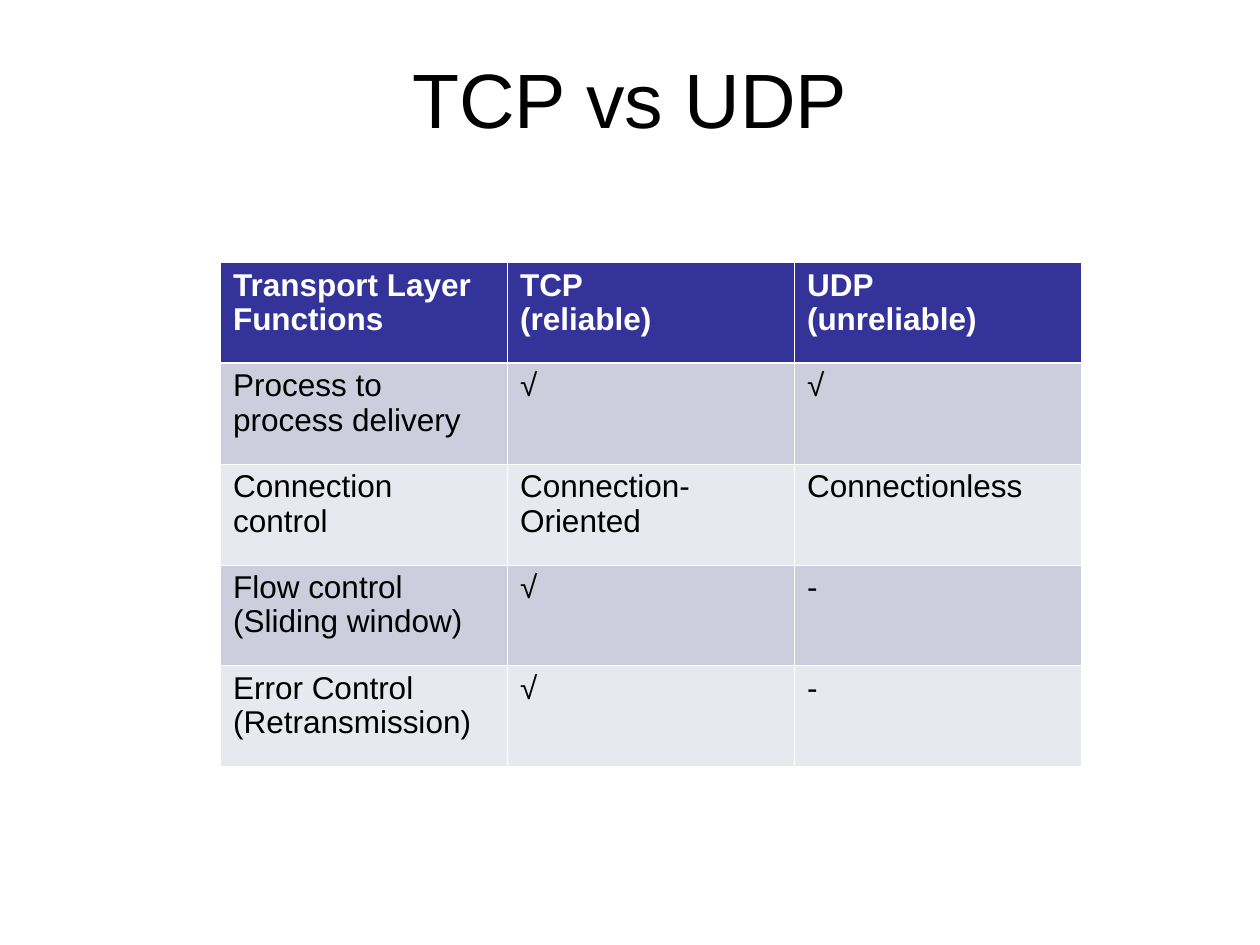
from lxml.etree import SubElement as Sub
from pptx import Presentation
from pptx.dml.color import RGBColor
from pptx.enum.text import MSO_ANCHOR as Anchor, PP_ALIGN as Align
from pptx.oxml.ns import qn
from pptx.util import Pt

ROWS = [
    ["Transport Layer Functions", "TCP\n(reliable)", "UDP\n(unreliable)"],
    ["Process to process delivery", "√", "√"],
    ["Connection control", "Connection- Oriented", "Connectionless"],
    ["Flow control\n(Sliding window)", "√", "-"],
    ["Error Control\n(Retransmission)", "√", "-"],
]
HEAD, BANDS = "333399", ("CDCDDE", "E8E8EF")
THIN, THICK = 0.45, 1.47


def color(code):
    return RGBColor.from_string(code)


def write(frame, text, size=18, ink="000000", bold=False, align=Align.LEFT, pitch=None):
    frame.word_wrap = True
    frame.text = text
    for para in frame.paragraphs:
        para.alignment = align
        para.line_spacing = pitch
        font = para.font
        font.name, font.size, font.bold = "Arial", Pt(size), bold
        font.color.rgb = color(ink)


def edge(cell, widths):
    """Draw white borders, given in the order left, right, top, bottom."""
    props = cell._tc.get_or_add_tcPr()
    for spot, (side, width) in enumerate(zip("LRTB", widths)):
        line = props.makeelement(qn(f"a:ln{side}"), {"w": str(Pt(width))})
        fill = Sub(line, qn("a:solidFill"))
        Sub(fill, qn("a:srgbClr"), val="FFFFFF")
        props.insert(spot, line)


def add_title(slide, left, top, width, height):
    title = slide.shapes.title
    title.left, title.top = Pt(left), Pt(top)
    title.width, title.height = Pt(width), Pt(height)
    frame = title.text_frame
    frame.vertical_anchor = Anchor.TOP
    frame.margin_top = Pt(8)
    write(frame, "TCP vs UDP", size=44, align=Align.CENTER)


def add_grid(slide, left, top, width, height):
    count = len(ROWS)
    table = slide.shapes.add_table(
        count, len(ROWS[0]), Pt(left), Pt(top), Pt(width), Pt(height)).table
    for r, row in enumerate(ROWS):
        head = r == 0
        for c, text in enumerate(row):
            cell = table.cell(r, c)
            write(cell.text_frame, text, bold=head, pitch=0.97,
                  ink="FFFFFF" if head else "000000")
            cell.fill.solid()
            cell.fill.fore_color.rgb = color(HEAD if head else BANDS[(r - 1) % 2])
            # A thicker rule parts the header from the body
            edge(cell, (THIN, THIN, THICK if r == 1 else THIN, THICK if head else THIN))


def main():
    deck = Presentation()
    deck.slide_width, deck.slide_height = Pt(720), Pt(540)
    slide = deck.slides.add_slide(deck.slide_layouts[5])
    add_title(slide, 36, 21.6, 648, 90)
    add_grid(slide, 126, 150, 492, 288)
    deck.save("out.pptx")


if __name__ == "__main__":
    main()
